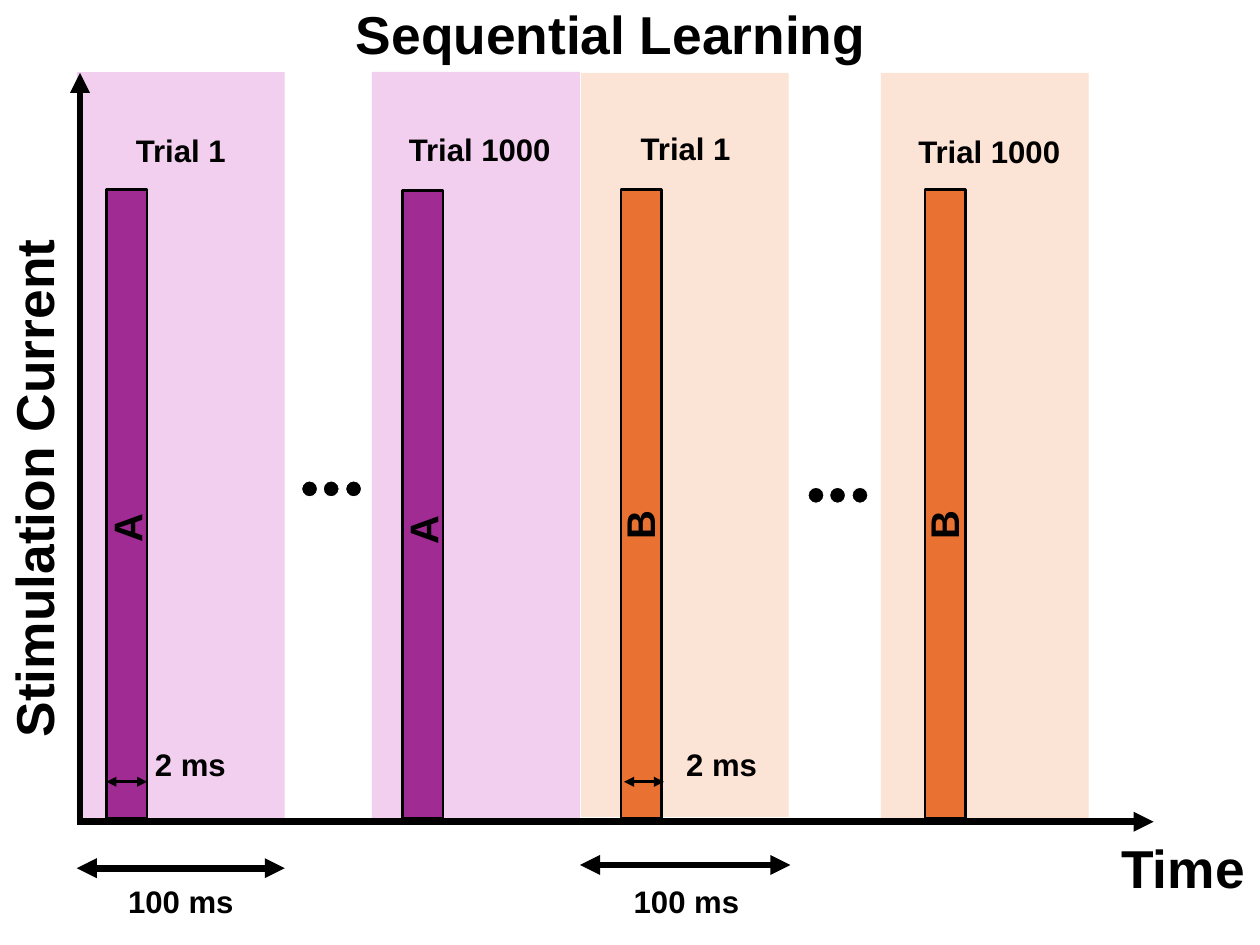
"""Build the sequential learning stimulation timeline slide."""
from lxml import etree
from pptx import Presentation
from pptx.dml.color import RGBColor
from pptx.enum.shapes import MSO_CONNECTOR, MSO_SHAPE
from pptx.enum.text import MSO_ANCHOR, MSO_AUTO_SIZE, PP_ALIGN
from pptx.oxml.ns import qn
from pptx.util import Inches, Pt

STRAIGHT = MSO_CONNECTOR.STRAIGHT
RECTANGLE, OVAL = MSO_SHAPE.RECTANGLE, MSO_SHAPE.OVAL
TOP, CENTER, NO_FIT = MSO_ANCHOR.TOP, PP_ALIGN.CENTER, MSO_AUTO_SIZE.NONE
BLACK, WHITE = "000000", "FFFFFF"
BAND_COLOR = {"A": "F2CFEE", "B": "FBE3D6"}
PULSE_COLOR = {"A": "A02B93", "B": "E97132"}
BAND_WIDTH, PULSE_WIDTH, PULSE_HEIGHT, DOT_SIZE = 2.6, 0.51, 7.85, 0.2

prs = Presentation()
prs.slide_width, prs.slide_height = Inches(15.75), Inches(11.81)
slide = prs.slides.add_slide(prs.slide_layouts[5])


def add_block(preset, left, top, width, height, fill, outline=None, weight=0):
    block = slide.shapes.add_shape(
        preset, Inches(left), Inches(top), Inches(width), Inches(height))
    block.shadow.inherit = False
    block.fill.solid()
    block.fill.fore_color.rgb = RGBColor.from_string(fill)
    if outline:
        block.line.color.rgb = RGBColor.from_string(outline)
        block.line.width = Pt(weight)
    else:
        block.line.fill.background()


def write(label, text, size, left, top, width, height, rotation=0):
    label.left, label.top = Inches(left), Inches(top)
    label.width, label.height = Inches(width), Inches(height)
    label.rotation = rotation
    frame = label.text_frame
    frame.word_wrap = False
    frame.auto_size = NO_FIT
    frame.vertical_anchor = TOP
    paragraph = frame.paragraphs[0]
    paragraph.alignment = CENTER
    run = paragraph.add_run()
    run.text = text
    run.font.name, run.font.size, run.font.bold = "Arial", Pt(size), True
    run.font.color.rgb = RGBColor.from_string(BLACK)


write(slide.shapes.title, "Sequential Learning", 48, 4.31, -0.04, 6.65, 0.91)

# letter, band left, band top, band height, pulse left, pulse top
trials = [
    ("A", 0.96, 0.9, 9.32, 1.33, 2.37),
    ("B", 7.26, 0.91, 9.3, 7.76, 2.37),
    ("A", 4.65, 0.9, 9.34, 5.03, 2.38),
    ("B", 11.01, 0.91, 9.37, 11.56, 2.37),
]
for letter, band_left, band_top, band_height, pulse_left, pulse_top in trials:
    add_block(RECTANGLE, band_left, band_top, BAND_WIDTH, band_height, BAND_COLOR[letter])
    add_block(RECTANGLE, pulse_left, pulse_top, PULSE_WIDTH, PULSE_HEIGHT,
              PULSE_COLOR[letter], BLACK, 2.25)

for first_dot, dot_top in [(3.77, 6.01), (10.1, 6.09)]:
    for step in (0, 0.27, 0.55):
        add_block(OVAL, first_dot + step, dot_top, DOT_SIZE, DOT_SIZE, BLACK, WHITE, 1)

captions = [
    ("Time", 48, 13.91, 10.39, 1.76, 0.91, 0),
    ("Stimulation Current", 48, -2.83, 5.65, 6.49, 0.91, 270),
    ("Trial 1", 28, 1.59, 1.59, 1.34, 0.57, 0),
    ("Trial 1000", 28, 5, 1.58, 1.99, 0.57, 0),
    ("Trial 1", 28, 7.9, 1.57, 1.34, 0.57, 0),
    ("Trial 1000", 28, 11.37, 1.6, 1.99, 0.57, 0),
    ("A", 36, 1.3, 6.25, 0.57, 0.71, 270),
    ("A", 36, 5, 6.27, 0.57, 0.71, 270),
    ("B", 36, 7.71, 6.21, 0.57, 0.71, 270),
    ("B", 36, 11.51, 6.21, 0.57, 0.71, 270),
    ("2 ms", 28, 1.83, 9.27, 1.1, 0.57, 0),
    ("2 ms", 28, 8.47, 9.27, 1.1, 0.57, 0),
    ("100 ms", 28, 1.49, 10.98, 1.54, 0.57, 0),
    ("100 ms", 28, 7.81, 10.98, 1.54, 0.57, 0),
]
for text, size, left, top, width, height, rotation in captions:
    write(slide.shapes.add_textbox(0, 0, 0, 0), text, size, left, top, width, height, rotation)

arrows = [
    (1, 10.23, 1, 0.91, 6, ["tailEnd"]),
    (0.96, 10.27, 14.42, 10.27, 6, ["tailEnd"]),
    (0.96, 10.85, 3.56, 10.85, 6, ["headEnd", "tailEnd"]),
    (7.25, 10.81, 9.88, 10.81, 6, ["headEnd", "tailEnd"]),
    (1.33, 9.77, 1.84, 9.77, 3, ["headEnd", "tailEnd"]),
    (7.8, 9.77, 8.3, 9.77, 3, ["headEnd", "tailEnd"]),
]
for x1, y1, x2, y2, weight, ends in arrows:
    arrow = slide.shapes.add_connector(STRAIGHT, Inches(x1), Inches(y1), Inches(x2), Inches(y2))
    arrow.line.color.rgb = RGBColor.from_string(BLACK)
    arrow.line.width = Pt(weight)
    properties = arrow.element.spPr
    for end in ends:
        etree.SubElement(properties.find(qn("a:ln")), qn(f"a:{end}"), type="triangle")
    etree.SubElement(properties, qn("a:effectLst"))

prs.save("out.pptx")
